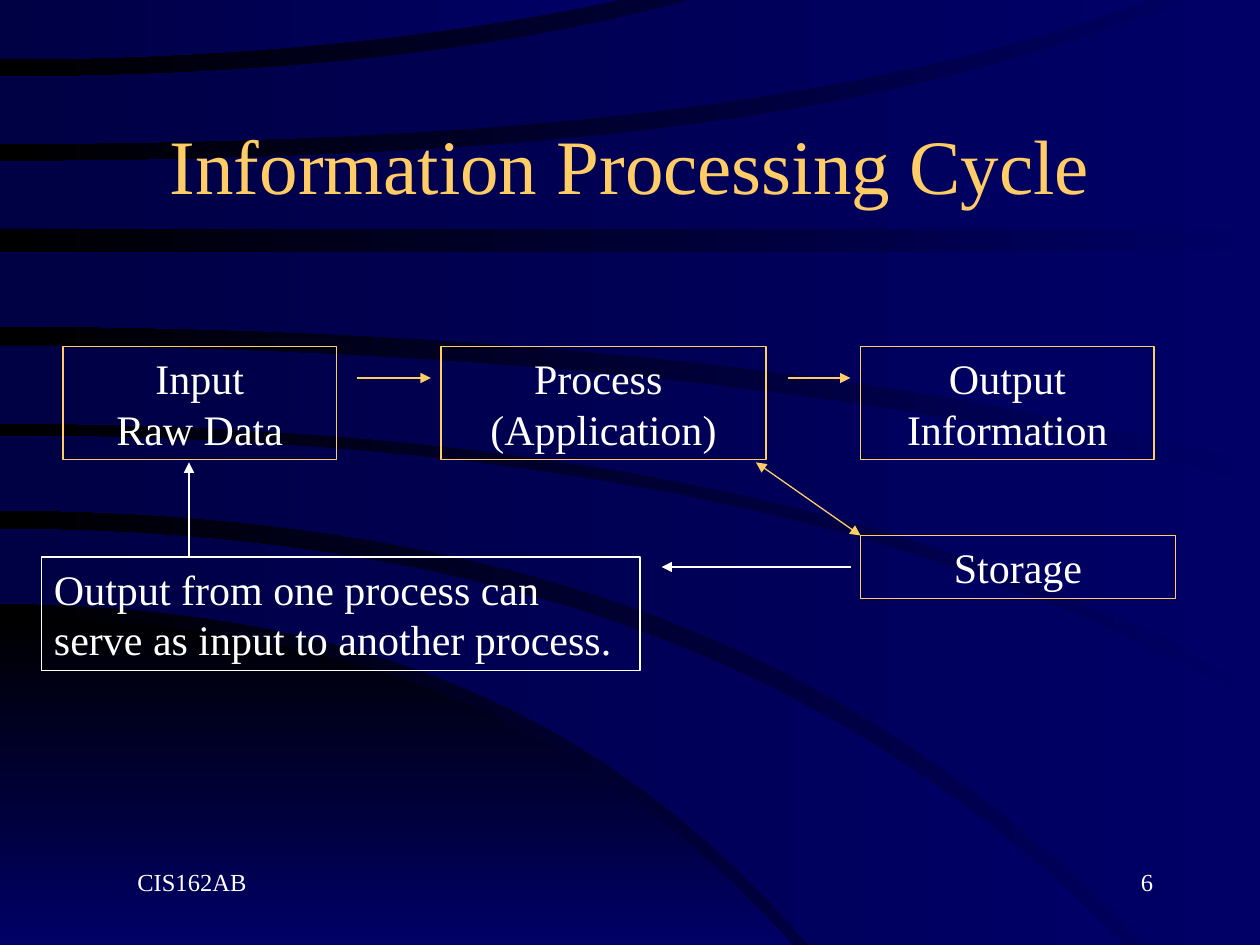
from lxml import etree
from pptx import Presentation
from pptx.dml.color import RGBColor
from pptx.enum import shapes, text
from pptx.oxml.ns import qn
from pptx.util import Inches, Pt

NAVY = RGBColor(0x00, 0x00, 0x66)
DEEP_NAVY = RGBColor(0x00, 0x00, 0x44)
BLACK = RGBColor(0x00, 0x00, 0x00)
GOLD = RGBColor(0xFF, 0xCC, 0x66)
WHITE = RGBColor(0xFF, 0xFF, 0xFF)
FONT = "Times New Roman"
LEFT, CENTER, RIGHT = text.PP_ALIGN.LEFT, text.PP_ALIGN.CENTER, text.PP_ALIGN.RIGHT
TOP, MIDDLE = text.MSO_ANCHOR.TOP, text.MSO_ANCHOR.MIDDLE
WIDTH, HEIGHT = 10, 7.5
CURVE_STEPS = 24


def flat(y, end):
    return [(0, y), (end, y)]


# Each edge is a start, middle and end point, or a flat line
DARK_CORNER = ([(0, 4.91), (4.26, 5.86), (6.29, HEIGHT)], flat(HEIGHT, 6.29), [])
# Upper edge, lower edge, slide corners between their right ends
BANDS = [
    ([(0, 4.2), (5.61, 5.22), (8.93, HEIGHT)], [(0, 4.79), (4.16, 5.68), (6.42, HEIGHT)], []),
    ([(0, 3.46), (6.56, 4.2), (WIDTH, 5.62)], [(0, 4.05), (5.97, 5.21), (9.09, HEIGHT)],
     [(WIDTH, HEIGHT)]),
    ([(0, 2.75), (6.16, 3.12), (WIDTH, 3.85)], [(0, 3.36), (6.41, 4.05), (WIDTH, 5.48)], []),
    (flat(2, WIDTH), [(0, 2.59), (6.07, 2.94), (WIDTH, 3.68)], []),
    ([(0, 1.28), (5.97, 0.92), (9.4, 0)], flat(1.82, WIDTH), [(WIDTH, 0)]),
    ([(0, 0.61), (3.47, 0.4), (5.48, 0)], [(0, 1.14), (6.14, 0.75), (9.13, 0)], []),
    (flat(0, 4.92), [(0, 0.47), (3.46, 0.25), (4.92, 0)], []),
]

# Text, (left, top, width, height), size, colour, alignment, anchor, left inset
LABELS = [
    ("Information Processing Cycle", (0.75, 0.67, 8.5, 1.25), 44, GOLD, CENTER, MIDDLE, 0.1),
    ("6", (7.17, 6.83, 2.08, 0.5), 14, WHITE, RIGHT, TOP, 0.34),
    ("CIS162AB", (0.75, 6.83, 2.08, 0.5), 14, WHITE, LEFT, TOP, 0.34),
]
# Text, (left, top, width, height), line colour, alignment
BOXES = [
    ("Input\vRaw Data", (0.5, 2.75, 2.17, 0.9), GOLD, CENTER),
    ("Process \v(Application)", (3.5, 2.75, 2.58, 0.9), GOLD, CENTER),
    ("Output\vInformation", (6.83, 2.75, 2.33, 0.9), GOLD, CENTER),
    ("Storage", (6.83, 4.25, 2.5, 0.5), GOLD, CENTER),
    ("Output from one process can serve as input to another process.",
     (0.33, 4.42, 4.75, 0.9), WHITE, LEFT),
]
# Start, end, colour, arrowheads
ARROWS = [
    ((2.83, 3), (3.42, 3), GOLD, ["tailEnd"]),
    ((6.25, 3), (6.75, 3), GOLD, ["tailEnd"]),
    ((6, 3.67), (6.83, 4.25), GOLD, ["headEnd", "tailEnd"]),
    ((6.75, 4.5), (5.25, 4.5), WHITE, ["tailEnd"]),
    ((1.5, 4.42), (1.5, 3.67), WHITE, ["tailEnd"]),
]


def inches(values):
    return [Inches(value) for value in values]


def set_gradient(fill, colors, angle):
    fill.gradient()
    fill.gradient_angle = angle
    for stop, color in zip(fill.gradient_stops, colors):
        stop.color.rgb = color


def trace_edge(knots):
    """Points on y = start + a * x**2 + b * x**4 through the three knots."""
    if len(knots) == 2:
        return knots
    (_, start), (middle_x, middle_y), (end_x, end_y) = knots
    middle_slope = (middle_y - start) / middle_x ** 2
    end_slope = (end_y - start) / end_x ** 2
    b = (end_slope - middle_slope) / (end_x ** 2 - middle_x ** 2)
    a = end_slope - b * end_x ** 2
    steps = [end_x * step / CURVE_STEPS for step in range(CURVE_STEPS + 1)]
    return [(x, start + a * x ** 2 + b * x ** 4) for x in steps]


def add_band(slide, upper, lower, corners, colors, angle):
    points = trace_edge(upper) + corners + trace_edge(lower)[::-1]
    start, *others = [inches(point) for point in points]
    builder = slide.shapes.build_freeform(*start)
    builder.add_line_segments(others, close=True)
    band = builder.convert_to_shape()
    band.shadow.inherit = False
    band.line.fill.background()
    set_gradient(band.fill, colors, angle)


def write_text(shape, content, size, color, alignment, anchor=TOP, inset=0.1):
    frame = shape.text_frame
    frame_format = {"word_wrap": True, "vertical_anchor": anchor, "margin_left": Inches(inset)}
    for name, value in frame_format.items():
        setattr(frame, name, value)
    paragraph = frame.paragraphs[0]
    paragraph.text = content
    paragraph.alignment = alignment
    for name, value in {"name": FONT, "size": Pt(size)}.items():
        setattr(paragraph.font, name, value)
    paragraph.font.color.rgb = color


def set_line(line, color):
    line.color.rgb = color
    line.width = Pt(0.75)


def add_box(slide, content, place, color, alignment):
    box = slide.shapes.add_shape(shapes.MSO_SHAPE.RECTANGLE, *inches(place))
    box.shadow.inherit = False
    box.fill.background()
    set_line(box.line, color)
    write_text(box, content, 24, WHITE, alignment)


def add_arrow(slide, start, end, color, heads):
    arrow = slide.shapes.add_connector(shapes.MSO_CONNECTOR.STRAIGHT, *inches(start + end))
    set_line(arrow.line, color)
    properties = arrow.element.spPr
    for head in heads:
        etree.SubElement(properties.find(qn("a:ln")), qn(f"a:{head}"), type="triangle")
    etree.SubElement(properties, qn("a:effectLst"))


def main():
    presentation = Presentation()
    presentation.slide_width, presentation.slide_height = inches((WIDTH, HEIGHT))
    slide = presentation.slides.add_slide(presentation.slide_layouts[6])
    set_gradient(slide.background.fill, (NAVY, BLACK), 180)
    add_band(slide, *DARK_CORNER, (BLACK, NAVY), 270)
    for band in BANDS:
        add_band(slide, *band, (NAVY, DEEP_NAVY), 180)
    for content, place, *text_format in LABELS:
        write_text(slide.shapes.add_textbox(*inches(place)), content, *text_format)
    for box in BOXES:
        add_box(slide, *box)
    for arrow in ARROWS:
        add_arrow(slide, *arrow)
    presentation.save("out.pptx")


if __name__ == "__main__":
    main()
